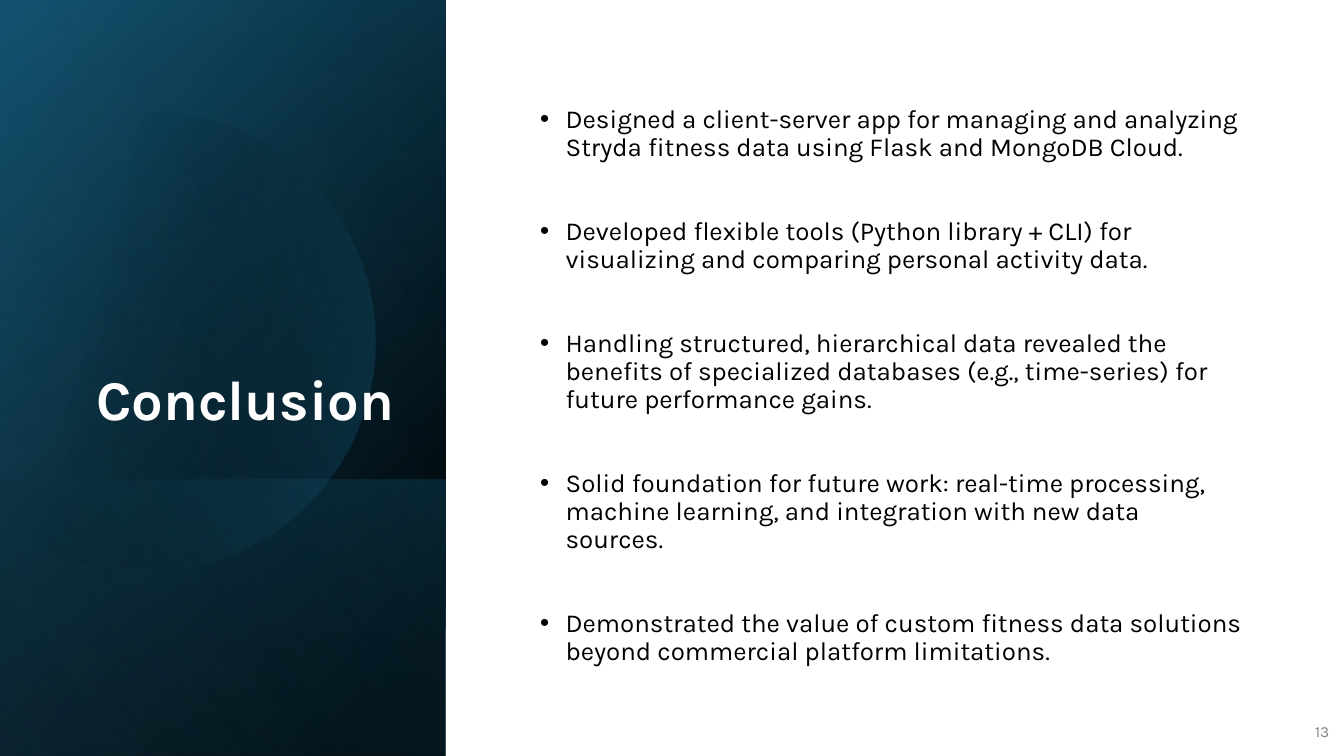
import math
from dataclasses import dataclass

from pptx import Presentation
from pptx import util as u
from pptx.dml.color import RGBColor
from pptx.enum import shapes, text
from pptx.oxml import parse_xml
from pptx.oxml.ns import nsdecls, qn


@dataclass(frozen=True)
class Theme:
    """Colours, font and type sizes of the deck."""
    font: str = "Karla"
    white: str = "FFFFFF"
    black: str = "000000"
    grey: str = "808080"
    navy: str = "104862"
    blue: str = "156082"
    sky: str = "46B1E1"
    title_size: float = 40
    body_size: float = 18.5
    number_size: float = 11


class SlideBuilder:
    """Draws styled elements on the current slide."""

    def __init__(self, page, theme):
        """Keep the slide and its theme."""
        self.page = page
        self.theme = theme

    def plain(self, shape):
        """Remove the shadow and outline of a shape."""
        shape.shadow.inherit = False
        shape.line.fill.background()

    def backdrop(self, width, height):
        """Cover the slide with a white rectangle."""
        shape = self.page.shapes.add_shape(
            shapes.MSO_SHAPE.RECTANGLE, 0, 0, u.Cm(width), u.Cm(height))
        self.plain(shape)
        shape.fill.solid()
        shape.fill.fore_color.rgb = RGBColor.from_string(self.theme.white)

    def gradient(self, shape, stops, angle):
        """Fill a shape with a linear gradient of (position, colour, opacity) stops."""
        self.plain(shape)
        shape.fill.gradient()
        marks = "".join(
            f'<a:gs pos="{position * 1000}"><a:srgbClr val="{colour}">'
            f'<a:alpha val="{opacity * 1000}"/></a:srgbClr></a:gs>'
            for position, colour, opacity in stops)
        fill = parse_xml(
            f'<a:gradFill {nsdecls("a")} rotWithShape="1"><a:gsLst>{marks}</a:gsLst>'
            f'<a:lin ang="{angle * 60000}" scaled="0"/></a:gradFill>')
        properties = shape.element.spPr
        properties.replace(properties.find(qn("a:gradFill")), fill)

    def panel(self, top, width, height, stops, angle):
        """Add a mirrored, quarter-turned gradient panel at the left edge."""
        shape = self.page.shapes.add_shape(
            shapes.MSO_SHAPE.RECTANGLE,
            u.Cm((width - height) / 2), u.Cm(top + (height - width) / 2),
            u.Cm(height), u.Cm(width))
        shape.rotation = 90
        shape.element.spPr.find(qn("a:xfrm")).set("flipH", "1")
        self.gradient(shape, stops, angle)

    def cut_circle(self, x, y, radius, stops, angle):
        """Add a circle cut off by the left edge of the slide."""
        limit = math.acos(-x / radius)
        steps = 120
        turns = [limit * (2 * step / steps - 1) for step in range(steps + 1)]
        points = [(u.Cm(x + radius * math.cos(turn)), u.Cm(y + radius * math.sin(turn)))
                  for turn in turns]
        outline = self.page.shapes.build_freeform(*points[0])
        outline.add_line_segments(points[1:], close=True)
        self.gradient(outline.convert_to_shape(), stops, angle)

    def place(self, box, left, top, width, height, anchor):
        """Position a text shape in front of all others and set its frame."""
        box.left, box.top, box.width, box.height = map(u.Cm, (left, top, width, height))
        box.element.getparent().append(box.element)
        frame = box.text_frame
        frame.word_wrap = True
        frame.auto_size = text.MSO_AUTO_SIZE.NONE
        frame.vertical_anchor = anchor
        return frame

    def add_span(self, para, words, size, colour, align, bold=False):
        """Add one styled run to a paragraph."""
        para.alignment = align
        span = para.add_run()
        span.text = words
        span.font.name = self.theme.font
        span.font.size = u.Pt(size)
        span.font.bold = bold
        span.font.color.rgb = RGBColor.from_string(colour)

    def title(self, words, *area):
        """Fill the title placeholder."""
        frame = self.place(self.page.shapes.title, *area, text.MSO_ANCHOR.BOTTOM)
        para = frame.paragraphs[0]
        para.line_spacing = 0.9
        self.add_span(para, words, self.theme.title_size, self.theme.white,
                      text.PP_ALIGN.RIGHT, bold=True)

    def bullets(self, items, *area):
        """Fill the body placeholder with a bulleted list."""
        frame = self.place(self.page.placeholders[1], *area, text.MSO_ANCHOR.MIDDLE)
        for index, item in enumerate(items):
            para = frame.add_paragraph() if index else frame.paragraphs[0]
            properties = para._p.get_or_add_pPr()
            properties.set("marL", str(u.Cm(0.64)))
            properties.set("indent", str(u.Cm(-0.64)))
            properties.append(parse_xml(f'<a:buFont {nsdecls("a")} typeface="Arial"/>'))
            properties.append(parse_xml(f'<a:buChar {nsdecls("a")} char="•"/>'))
            para.line_spacing = 0.9
            para.space_before = u.Pt(40 if index else 0)
            self.add_span(para, item, self.theme.body_size, self.theme.black,
                          text.PP_ALIGN.LEFT)

    def page_number(self, number, *area):
        """Add the page number."""
        box = self.page.shapes.add_textbox(0, 0, 0, 0)
        frame = self.place(box, *area, text.MSO_ANCHOR.MIDDLE)
        para = frame.paragraphs[0]
        para.space_after = u.Pt(6)
        self.add_span(para, number, self.theme.number_size, self.theme.grey,
                      text.PP_ALIGN.RIGHT)


def main():
    """Build the conclusion slide and save the deck."""
    width, height, band = 33.87, 19.05, 11.23
    deck = Presentation()
    deck.slide_width, deck.slide_height = u.Cm(width), u.Cm(height)
    theme = Theme()
    slide = SlideBuilder(deck.slides.add_slide(deck.slide_layouts[1]), theme)

    slide.backdrop(width, height)
    slide.panel(0, band, height, [(8, theme.black, 100), (100, theme.navy, 100)], 50)
    slide.panel(0, band, height, [(0, theme.black, 0), (99, theme.blue, 46)], 30)
    slide.panel(12.09, band, 6.96, [(2, theme.blue, 29), (100, theme.black, 30)], 130)
    slide.cut_circle(3.66, 8.59, 5.8, [(29, theme.black, 0), (100, theme.blue, 43)], 14)
    slide.panel(0, band, height, [(0, theme.black, 0), (99, theme.sky, 11)], 120)

    slide.title("Conclusion", 1.3, 1.63, 8.89, 9.4)
    slide.bullets([
        "Designed a client-server app for managing and analyzing "
        "Stryda fitness data using Flask and MongoDB Cloud.",
        "Developed flexible tools (Python library + CLI) for "
        "visualizing and comparing personal activity data.",
        "Handling structured, hierarchical data revealed the benefits of "
        "specialized databases (e.g., time-series) for future performance gains.",
        "Solid foundation for future work: real-time processing, "
        "machine learning, and integration with new data sources.",
        "Demonstrated the value of custom fitness data solutions "
        "beyond commercial platform limitations.",
    ], 13.36, 2.01, 18.21, 15.42)
    slide.page_number("13", 32.51, 17.93, 1.24, 1.02)
    deck.save("out.pptx")


if __name__ == "__main__":
    main()
